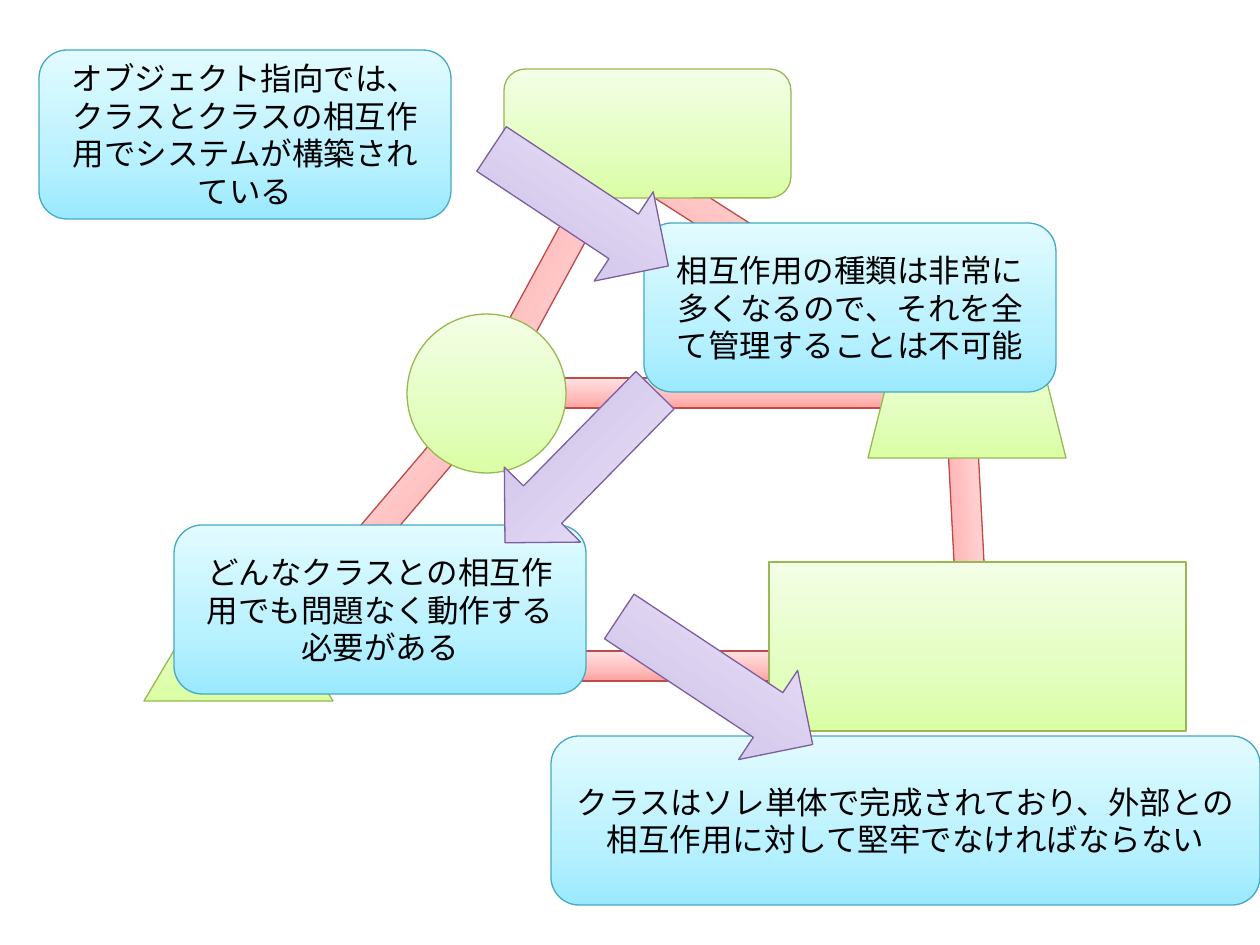
"""Build a slide on interacting classes in object-oriented design."""
from copy import deepcopy
from typing import NamedTuple

from pptx import Presentation
from pptx.dml.color import RGBColor
from pptx.enum.shapes import MSO_SHAPE
from pptx.enum.text import MSO_ANCHOR, PP_ALIGN
from pptx.oxml.ns import qn
from pptx.util import Emu, Pt

BLACK = RGBColor(0x00, 0x00, 0x00)
STOP_POSITIONS = (0, 0.35, 1)
LINK_THICKNESS = 30
NOTE_HEIGHT = 169
ARROW_HEIGHT = 107


class Palette(NamedTuple):
    stops: tuple[RGBColor, RGBColor, RGBColor]
    line: RGBColor


class Item(NamedTuple):
    kind: MSO_SHAPE
    left: int
    top: int
    width: int
    height: int
    palette: Palette
    rotation: float = 0
    text: str = ""


RED = Palette((RGBColor(0xFF, 0xA0, 0x9D), RGBColor(0xFF, 0xBC, 0xBC),
               RGBColor(0xFF, 0xE2, 0xE2)), RGBColor(0xBD, 0x4B, 0x48))
GREEN = Palette((RGBColor(0xDA, 0xFE, 0xA4), RGBColor(0xE3, 0xFE, 0xBF),
                 RGBColor(0xF4, 0xFE, 0xE6)), RGBColor(0x97, 0xB8, 0x53))
BLUE = Palette((RGBColor(0x9B, 0xE9, 0xFF), RGBColor(0xB8, 0xF1, 0xFF),
                RGBColor(0xE2, 0xFB, 0xFF)), RGBColor(0x45, 0xA9, 0xC4))
PURPLE = Palette((RGBColor(0xC8, 0xB2, 0xE9), RGBColor(0xD6, 0xCA, 0xED),
                  RGBColor(0xEF, 0xE8, 0xFA)), RGBColor(0x7C, 0x5F, 0x9F))


def px(value: int) -> Emu:
    return Emu(round(value * 914400 / 126))


def link(left: int, top: int, width: int, rotation: float = 0) -> Item:
    return Item(MSO_SHAPE.RECTANGLE, left, top, width, LINK_THICKNESS, RED, rotation)


def note(left: int, top: int, width: int, text: str) -> Item:
    return Item(MSO_SHAPE.ROUNDED_RECTANGLE, left, top, width, NOTE_HEIGHT, BLUE, text=text)


def arrow(left: int, top: int, width: int, rotation: float) -> Item:
    return Item(MSO_SHAPE.RIGHT_ARROW, left, top, width, ARROW_HEIGHT, PURPLE, rotation)


LINKS = (
    link(809, 528, 318, 87),
    link(382, 277, 318, 118.5),
    link(587, 249, 397, 32.6),
    link(520, 378, 417),
    link(203, 532, 318, 310.4),
    link(248, 651, 660),
)
CLASSES = (
    Item(MSO_SHAPE.ROUNDED_RECTANGLE, 504, 69, 287, 129, GREEN),
    Item(MSO_SHAPE.OVAL, 407, 314, 159, 159, GREEN),
    Item(MSO_SHAPE.ISOSCELES_TRIANGLE, 144, 542, 189, 159, GREEN),
    Item(MSO_SHAPE.RECTANGLE, 769, 562, 417, 169, GREEN),
    Item(MSO_SHAPE.TRAPEZOID, 868, 329, 198, 129, GREEN),
)
NOTES = (
    note(39, 50, 412, "オブジェクト指向では、クラスとクラスの相互作用でシステムが構築されている"),
    note(644, 223, 412, "相互作用の種類は非常に多くなるので、それを全て管理することは不可能"),
    note(551, 736, 709, "クラスはソレ単体で完成されており、外部との相互作用に対して堅牢でなければならない"),
    note(174, 525, 412, "どんなクラスとの相互作用でも問題なく動作する必要がある"),
)
ARROWS = (
    arrow(474, 154, 212, 33.5),
    arrow(473, 413, 214, 134.5),
    arrow(600, 627, 232, 33.5),
)


def paint(sp, palette: Palette) -> None:
    sp.shadow.inherit = False
    fill = sp.fill
    fill.gradient()
    fill.gradient_angle = 90
    first = next(sp.element.spPr.iter(qn("a:gs")))
    first.addnext(deepcopy(first))
    for stop, position, color in zip(fill.gradient_stops, STOP_POSITIONS, palette.stops):
        stop.position = position
        stop.color.rgb = color
    sp.line.color.rgb = palette.line
    sp.line.width = Pt(0.75)


def write(sp, text: str) -> None:
    tf = sp.text_frame
    tf.text = text
    tf.word_wrap = True
    tf.vertical_anchor = MSO_ANCHOR.MIDDLE
    p = tf.paragraphs[0]
    p.alignment = PP_ALIGN.CENTER
    font = p.runs[0].font
    font.name = "Calibri"
    font.size = Pt(18)
    font.color.rgb = BLACK


def draw(s, item: Item) -> None:
    sp = s.shapes.add_shape(item.kind, px(item.left), px(item.top),
                            px(item.width), px(item.height))
    sp.rotation = item.rotation
    paint(sp, item.palette)
    if item.text:
        write(sp, item.text)


def main() -> None:
    prs = Presentation()
    prs.slide_width, prs.slide_height = px(1260), px(945)
    s = prs.slides.add_slide(prs.slide_layouts[6])
    for item in LINKS + CLASSES + NOTES + ARROWS:
        draw(s, item)
    prs.save("out.pptx")


main()
